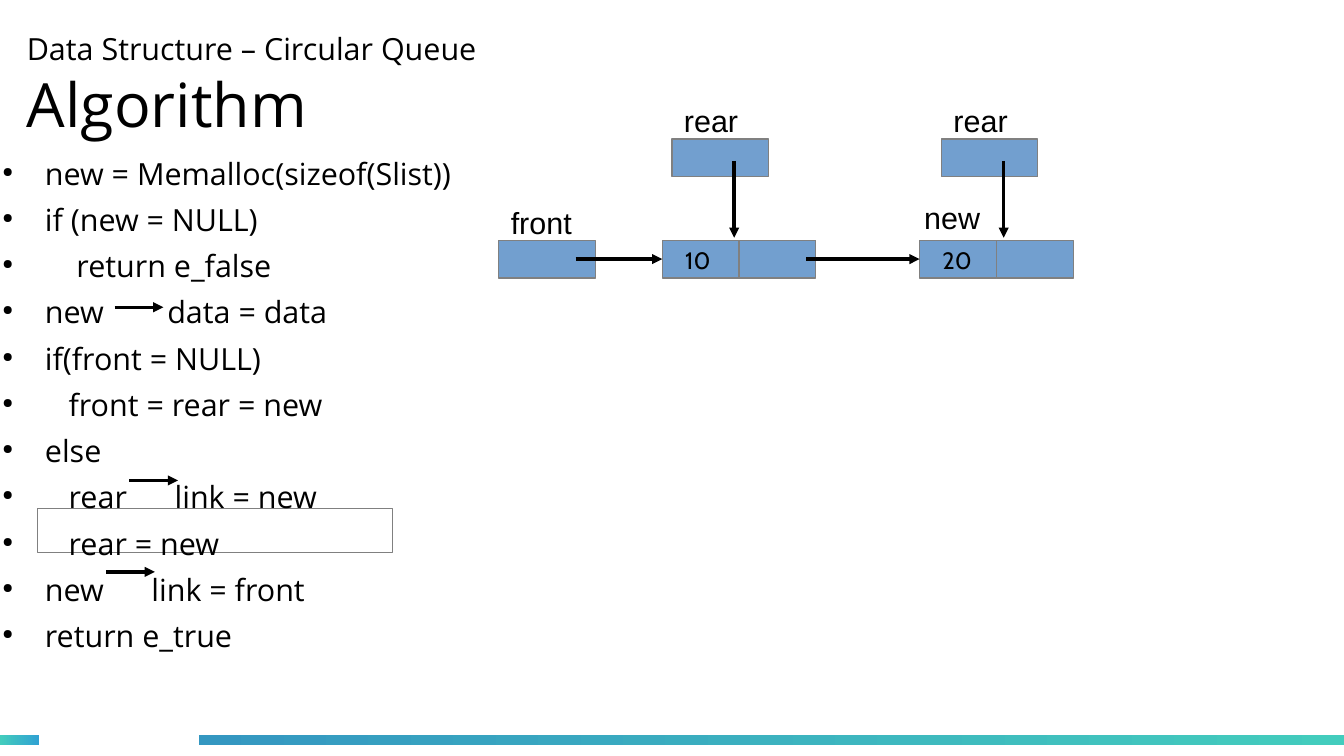
from lxml import etree
from pptx import Presentation
from pptx.dml.color import RGBColor
from pptx.enum.shapes import MSO_CONNECTOR, MSO_SHAPE
from pptx.enum.text import MSO_ANCHOR, MSO_AUTO_SIZE, PP_ALIGN
from pptx.oxml.ns import qn
from pptx.util import Inches, Pt

RECTANGLE = MSO_SHAPE.RECTANGLE
STRAIGHT = MSO_CONNECTOR.STRAIGHT
MIDDLE, TOP = MSO_ANCHOR.MIDDLE, MSO_ANCHOR.TOP
GROW = MSO_AUTO_SIZE.SHAPE_TO_FIT_TEXT
LEFT = PP_ALIGN.LEFT

COLORS = {
    "text": "000000", "arrow": "000000", "node": "729FCF", "edge": "808080",
    "highlight": "FFFFFF", "teal": "43CCBD", "sky": "30A2D2", "blue": "3497C1",
}
FORMATS = {
    "heading": {"name": "Open Sans", "size": Pt(18)},
    "title": {"name": "Open Sans", "size": Pt(36)},
    "code": {"name": "Open Sans", "size": Pt(18)},
    "label": {"name": "Arial", "size": Pt(18)},
    "data": {"name": "Cabin", "size": Pt(14)},
}
SPACE_WIDTH = 4.68
ARROW_GAP = "→"
CODE_LINES = [
    ("new = Memalloc(sizeof(Slist))", 0),
    ("if (new = NULL)", 0),
    ("    return e_false", 0),
    ("new→data = data", 8),
    ("if(front = NULL)", 0),
    ("   front = rear = new", 0),
    ("else", 0),
    ("   rear→link = new", 6),
    ("   rear = new", 0),
    ("new→link = front", 6),
    ("return e_true", 0),
]
CODE_ARROWS = [(1.14, 1.3), (1.26, 2.72), (1.07, 3.47)]
CELL_WIDTH, POINTER_WIDTH, CELL_HEIGHT = 0.63, 0.79, 0.31


def color(name):
    """Return the named colour."""
    return RGBColor.from_string(COLORS[name])


def add_run(paragraph, text, style):
    """Append a run in the named style."""
    run = paragraph.add_run()
    run.text = text
    for attribute, value in FORMATS[style].items():
        setattr(run.font, attribute, value)
    run.font.color.rgb = color("text")
    return run


def add_frame(slide, left, top, width, height, wrap=True, anchor=TOP):
    """Add a text box that grows with its text and return its frame."""
    box = slide.shapes.add_textbox(*map(Inches, (left, top, width, height)))
    settings = {"word_wrap": wrap, "auto_size": GROW, "vertical_anchor": anchor}
    for attribute, value in settings.items():
        setattr(box.text_frame, attribute, value)
    box.text_frame.paragraphs[0].alignment = LEFT
    return box.text_frame


def add_rectangle(slide, left, top, width, height, fill):
    """Add a thinly outlined rectangle."""
    rectangle = slide.shapes.add_shape(RECTANGLE, *map(Inches, (left, top, width, height)))
    rectangle.shadow.inherit = False
    rectangle.fill.solid()
    rectangle.fill.fore_color.rgb = color(fill)
    rectangle.line.color.rgb = color("edge")
    rectangle.line.width = Pt(0)
    return rectangle


def add_arrow(slide, start, end, target=None):
    """Add a hairline arrow, joined to the left side of any target."""
    arrow = slide.shapes.add_connector(STRAIGHT, *map(Inches, (*start, *end)))
    arrow.line.color.rgb = color("arrow")
    arrow.line.width = Pt(0)
    etree.SubElement(arrow.line._get_or_add_ln(), qn("a:tailEnd"), type="triangle")
    etree.SubElement(arrow._element.spPr, qn("a:effectLst"))
    if target is not None:
        arrow.end_connect(target, 1)


def add_footer(slide, left, top, width, height):
    """Place the two gradient bars along the bottom."""
    bars = [(0, 0.32, "teal", "sky"), (1.63, width - 1.63, "blue", "teal")]
    for offset, length, *ends in bars:
        bar = slide.shapes.add_shape(
            RECTANGLE, *map(Inches, (left + offset, top, length, height)))
        bar.shadow.inherit = False
        bar.line.fill.background()
        bar.fill.gradient()
        bar.fill.gradient_angle = 0
        for stop, name in zip(bar.fill.gradient_stops, ends):
            stop.color.rgb = color(name)


def add_title(slide, left, top, width, height):
    """Place the topic and the title as two lines."""
    frame = add_frame(slide, left, top, width, height, anchor=MIDDLE)
    for side in ("left", "top", "right", "bottom"):
        setattr(frame, f"margin_{side}", 0)
    heading = frame.paragraphs[0]
    add_run(heading, "Data Structure – Circular Queue", "heading")
    heading.add_line_break()
    add_run(heading, "Algorithm", "title")


def add_bullet(paragraph):
    """Give a code line its hanging bullet."""
    properties = paragraph._p.get_or_add_pPr()
    properties.set("marL", str(Inches(0.47)))
    properties.set("indent", str(Inches(-0.35)))
    bullet_color = etree.SubElement(properties, qn("a:buClr"))
    etree.SubElement(bullet_color, qn("a:srgbClr"), val=COLORS["text"])
    etree.SubElement(properties, qn("a:buSzPct"), val="45000")
    etree.SubElement(properties, qn("a:buChar"), char="●")


def add_algorithm(slide, left, top, width, height):
    """Place the pseudocode, its highlight and its member arrows."""
    add_rectangle(slide, left + 0.51, top + 2.95, 2.91, 0.36, "highlight")
    frame = add_frame(slide, left, top, width, height)
    for index, (code, gap) in enumerate(CODE_LINES):
        line = frame.add_paragraph() if index else frame.paragraphs[0]
        line.alignment = LEFT
        line.space_after = Pt(5.7)
        add_bullet(line)
        before, arrow, after = code.partition(ARROW_GAP)
        add_run(line, before, "code")
        if arrow:
            spacer = add_run(line, " ", "code")
            spacing = round((gap - 1) * SPACE_WIDTH * 100)
            spacer.font._element.set("spc", str(spacing))
            add_run(line, after, "code")
    for x, y in CODE_ARROWS:
        start = left + x, top + y
        add_arrow(slide, start, (start[0] + 0.4, start[1]))


def add_label(slide, left, top, text):
    """Place the name of a pointer or node."""
    frame = add_frame(slide, left, top, 0.77, 0.38, wrap=False)
    add_run(frame.paragraphs[0], text, "label")


def add_pointer(slide, left, top, name):
    """Place a named pointer cell."""
    add_rectangle(slide, left, top, POINTER_WIDTH, CELL_HEIGHT, "node")
    add_label(slide, left, top - 0.35, name)


def add_node(slide, left, top, value):
    """Place a data cell and a link cell, and return the data cell."""
    data_cell, _ = [
        add_rectangle(slide, left + i * CELL_WIDTH, top, CELL_WIDTH, CELL_HEIGHT, "node")
        for i in range(2)]
    frame = add_frame(slide, left + 0.09, top, 0.54, 0.36)
    add_run(frame.paragraphs[0], value, "data")
    return data_cell


def add_queue(slide, left, top):
    """Place the linked nodes and the pointers to them."""
    node_top = top + 0.83
    link_y = node_top + CELL_HEIGHT / 2
    add_pointer(slide, left, node_top, "front")
    nodes = [("10", 1.34, 1.42, 0.63), ("20", 3.45, 3.63, 2.52)]
    for value, node_x, rear_x, link_x in nodes:
        node = add_node(slide, left + node_x, node_top, value)
        add_pointer(slide, left + rear_x, top, "rear")
        add_arrow(slide, (left + link_x, link_y), (left + node_x, link_y), node)
        rear_link = left + rear_x + 0.51
        add_arrow(slide, (rear_link, top + 0.18), (rear_link, node_top - 0.02))
    add_label(slide, left + 3.39, node_top - 0.39, "new")


def main():
    """Build and save the slide."""
    presentation = Presentation()
    presentation.slide_width = Inches(11.02)
    presentation.slide_height = Inches(6.2)
    slide = presentation.slides.add_slide(presentation.slide_layouts[6])
    add_footer(slide, 0, 6.03, 11.02, 0.08)
    add_title(slide, 0.22, 0.08, 9.94, 1.24)
    add_algorithm(slide, -0.2, 1.22, 4.92, 4.63)
    add_queue(slide, 4.09, 1.14)
    presentation.save("out.pptx")


if __name__ == "__main__":
    main()
